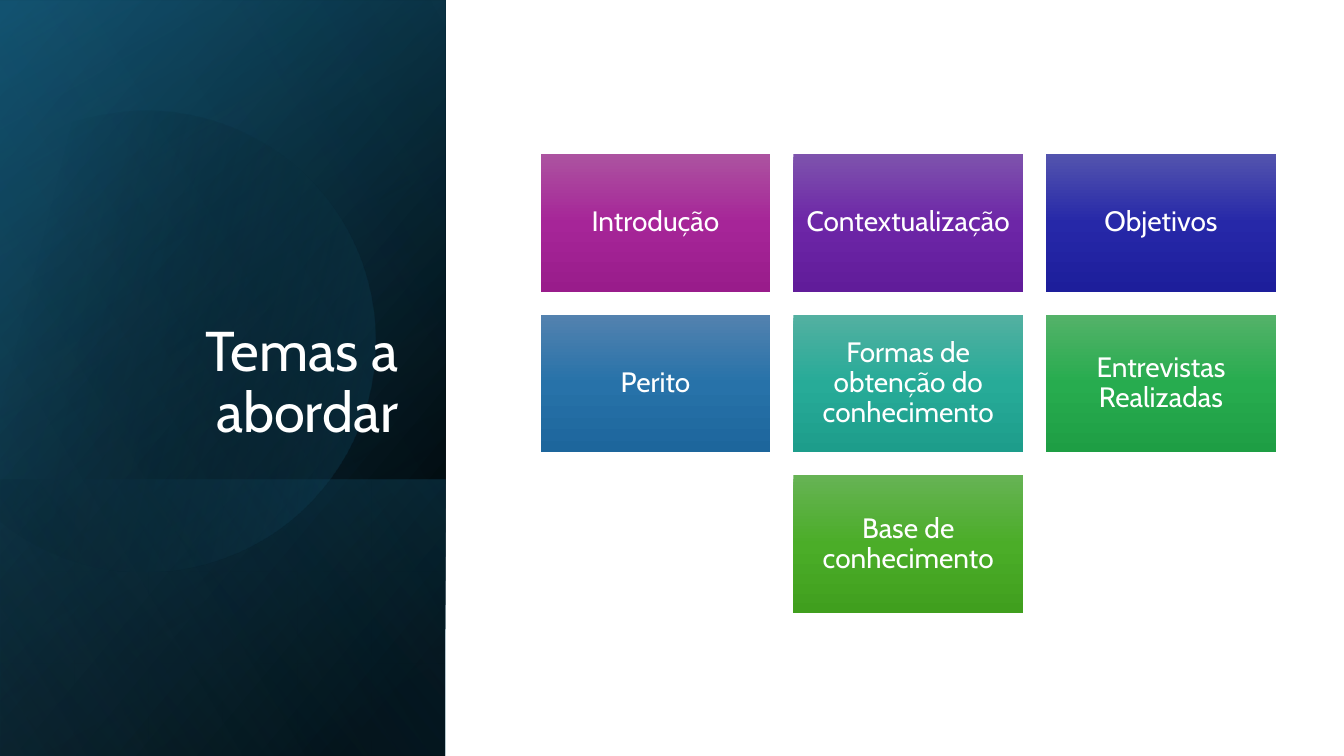
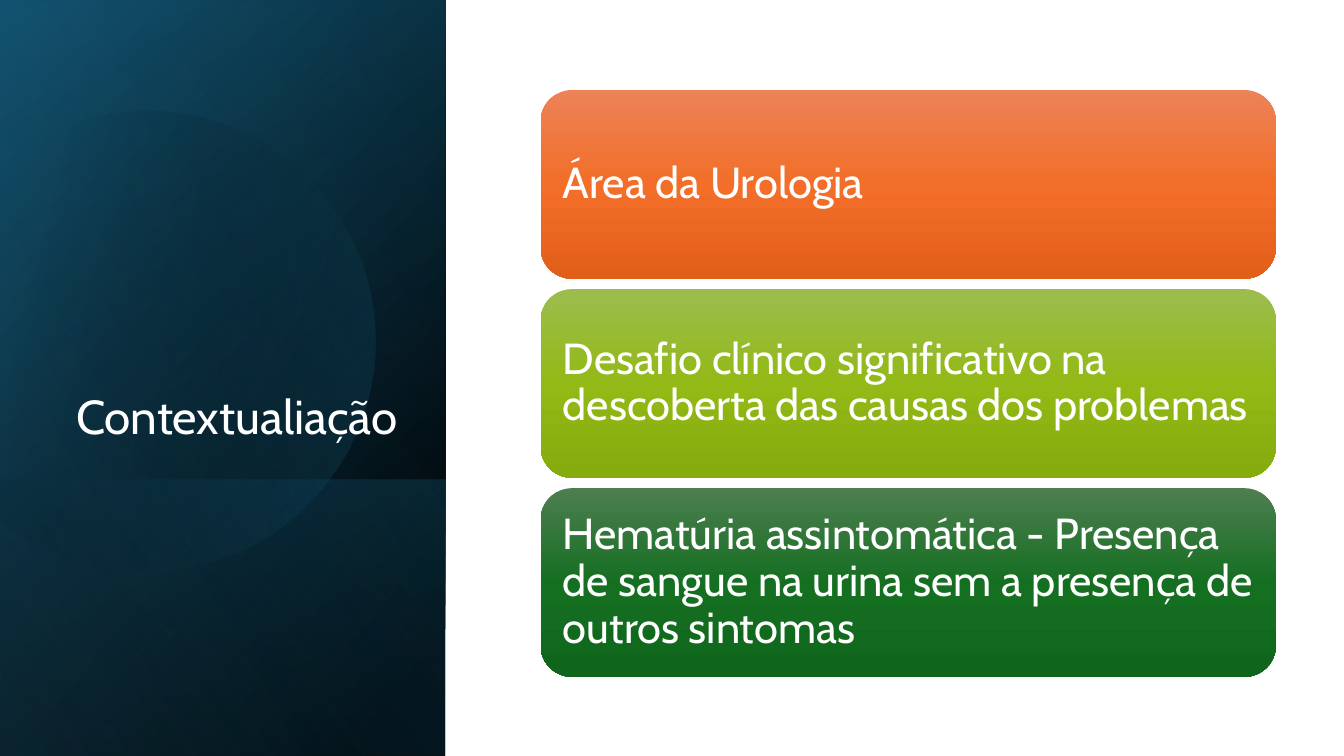
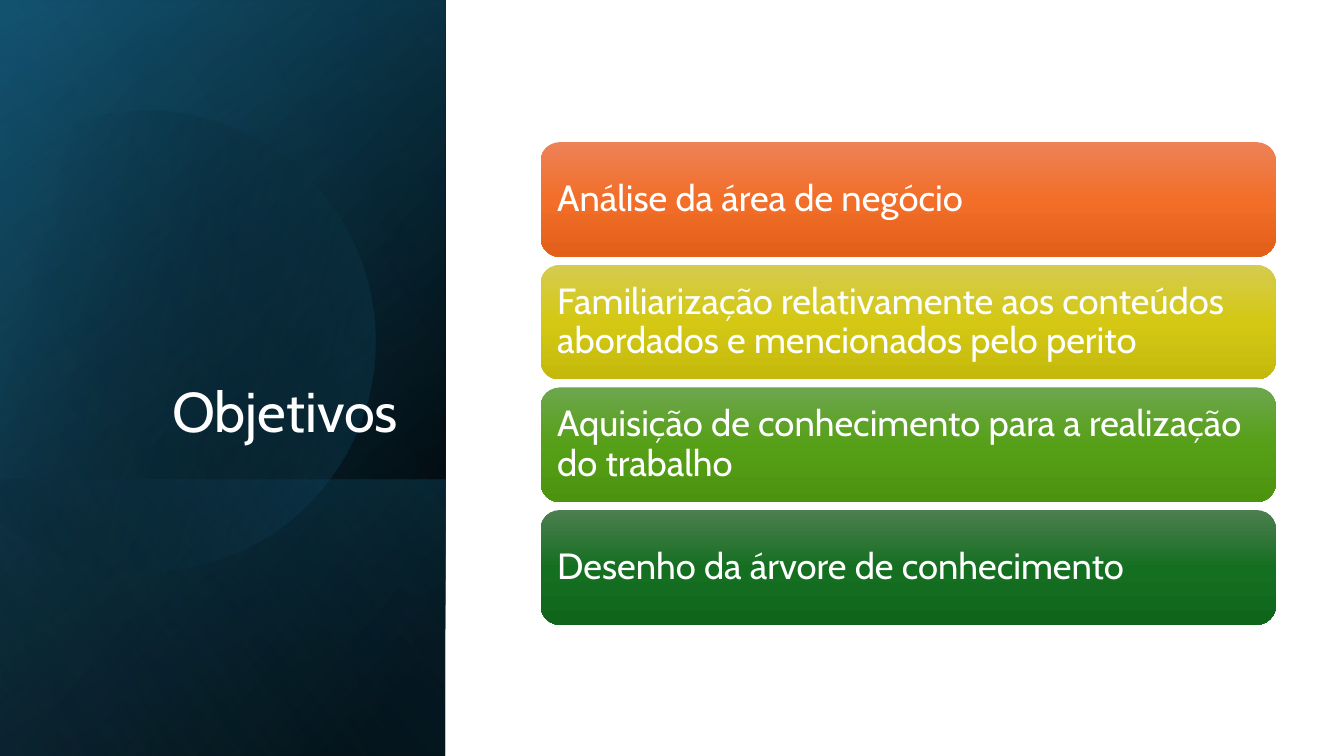
from math import cos, radians, sin

from lxml.etree import SubElement as Sub
from pptx import Presentation
from pptx.dml.color import RGBColor
from pptx.enum.shapes import MSO_SHAPE as Kind
from pptx.enum.text import MSO_ANCHOR as Anchor, MSO_AUTO_SIZE as Auto, PP_ALIGN as Align
from pptx.oxml.ns import qn
from pptx.util import Pt

# Shared style, lengths in points
FONT = "Cabin"
WHITE = "FFFFFF"
LEFT, WIDE, MID = 386.2, 525.2, 273.9   # content area: left, width, middle height
TITLE = (46, 132.5, 245.5, 188.6)

# Side band layers: frame, stops (position, colour, opacity), angle
FULL = (-111, 111, 540, 318.2)
BASE = [
    (FULL, [(8, "000000", 100), (100, "104862", 100)], 50),
    (FULL, [(0, "000000", 0), (99, "156082", 46)], 30),
    ((60.5, 282.2, 197.3, 318.2), [(2, "156082", 29), (100, "000000", 30)], 130),
]
SHEEN = (FULL, [(0, "000000", 0), (99, "46B1E1", 11)], 120)

# Disc outline: a point is a line end, three points are a curve
DISC = [
    [(107.3, 79.2)],
    [(177.1, 80.6), (241.2, 127.4), (261.4, 198)],
    [(286.6, 285.8), (236.2, 376.6), (149, 401.8)],
    [(94.3, 417.6), (38.2, 403.9), (-2.2, 370.1)],
    [(-10.8, 362.2)],
    [(-10.8, 126)],
    [(0, 115.9)],
    [(16.6, 102.2), (36, 91.4), (57.6, 85.7)],
    [(74.2, 81.4), (90.7, 79.2), (107.3, 79.2)],
]
HUB, TURN = (114.1, 240.8), 343.9

# Card gradients: top, middle, bottom
PLUM = ("AC53A0", "A62598", "991C8B")
VIOLET = ("7E53AD", "6D26A7", "611C9A")
INDIGO = ("5354AE", "2628A8", "1D1E9B")
BLUE = ("5382AF", "2772A9", "1D669C")
TEAL = ("53B0A1", "27AB98", "1D9D8B")
GREEN = ("54B269", "27AC4F", "1E9E44")
GRASS = ("66B354", "4BAD28", "409F1E")
ORANGE = ("ED8257", "F26E29", "E25F1A")
LIME = ("9CBD4E", "92B916", "85AB0D")
YELLOW = ("D5CB4E", "D4C815", "C4B90B")
LEAF = ("6DA64E", "56A017", "4C930F")
FOREST = ("4D7E50", "156F21", "0F661B")


def color(code):
    return RGBColor.from_string(code)


def grad(shape, stops, angle):
    """Fill with a linear gradient, without line or shadow."""
    shape.shadow.inherit = False
    shape.line.fill.background()
    shape.fill.gradient()
    shape.fill.gradient_angle = 360 - angle
    bag = shape.element.spPr.find(qn("a:gradFill")).find(qn("a:gsLst"))
    for old in list(bag):
        bag.remove(old)
    for spot, code, alpha in stops:
        stop = Sub(bag, qn("a:gs"), pos=str(spot * 1000))
        tint = Sub(stop, qn("a:srgbClr"), val=code)
        if alpha < 100:
            Sub(tint, qn("a:alpha"), val=str(alpha * 1000))


def write(shape, text, size, align=Align.LEFT, anchor=Anchor.MIDDLE, pad=None):
    frame = shape.text_frame
    frame.word_wrap = True
    frame.auto_size = Auto.NONE
    frame.vertical_anchor = anchor
    if pad is not None:
        frame.margin_left = frame.margin_right = Pt(pad)
        frame.margin_top = frame.margin_bottom = Pt(pad)
    para = frame.paragraphs[0]
    para.alignment = align
    para.line_spacing = 0.9
    run = para.add_run()
    run.text = text
    run.font.name = FONT
    run.font.size = Pt(size)
    run.font.color.rgb = color(WHITE)


def layer(slide, frame, stops, angle):
    """Add one upright layer of the side band."""
    shape = slide.shapes.add_shape(Kind.RECTANGLE, *map(Pt, frame))
    shape.rotation = 90
    shape.element.spPr.find(qn("a:xfrm")).set("flipH", "1")
    grad(shape, stops, angle)


def trace(parts, steps=24):
    """Turn lines and curves into a list of points."""
    points = list(parts[0])
    for part in parts[1:]:
        if len(part) == 1:
            points += part
            continue
        curve = [points[-1], *part]
        for step in range(1, steps + 1):
            t = step / steps
            u = 1 - t
            rates = (u ** 3, 3 * u * u * t, 3 * u * t * t, t ** 3)
            points.append(tuple(sum(r * p[axis] for r, p in zip(rates, curve))
                                for axis in (0, 1)))
    return points


def spin(point, angle):
    """Turn a point about the hub of the disc."""
    x, y = point[0] - HUB[0], point[1] - HUB[1]
    c, s = cos(radians(angle)), sin(radians(angle))
    return Pt(HUB[0] + x * c - y * s), Pt(HUB[1] + x * s + y * c)


def disc(slide):
    first, *rest = [spin(point, -TURN) for point in trace(DISC)]
    pen = slide.shapes.build_freeform(*first)
    pen.add_line_segments(rest, close=True)
    shape = pen.convert_to_shape()
    shape.rotation = TURN
    grad(shape, [(29, "000000", 0), (100, "156082", 43)], 30)


def page(deck, text, size=40):
    """Add a slide with the side band and its title."""
    slide = deck.slides.add_slide(deck.slide_layouts[5])
    for item in BASE:
        layer(slide, *item)
    disc(slide)
    layer(slide, *SHEEN)
    title = slide.shapes.title
    title.left, title.top, title.width, title.height = map(Pt, TITLE)
    write(title, text, size, align=Align.RIGHT, anchor=Anchor.BOTTOM)
    slide.shapes.element.append(title.element)   # title in front of the band
    return slide


def cards(slide, items, high, gap, cols=1, kind=Kind.ROUNDED_RECTANGLE, **style):
    """Lay cards out in rows, each row centred in the content area."""
    wide = (WIDE - (cols - 1) * gap) / cols
    rows = [items[i:i + cols] for i in range(0, len(items), cols)]
    top = MID - (len(rows) * (high + gap) - gap) / 2
    for r, row in enumerate(rows):
        left = LEFT + (cols - len(row)) * (wide + gap) / 2
        for c, (text, tones) in enumerate(row):
            card = slide.shapes.add_shape(
                kind, Pt(left + c * (wide + gap)), Pt(top + r * (high + gap)),
                Pt(wide), Pt(high))
            grad(card, [(50 * i, tone, 100) for i, tone in enumerate(tones)], 90)
            write(card, text, **style)


def main():
    deck = Presentation()
    deck.slide_width, deck.slide_height = Pt(960), Pt(540)

    # Topics
    cards(page(deck, "Temas a abordar"), [
        ("Introdução", PLUM),
        ("Contextualização", VIOLET),
        ("Objetivos", INDIGO),
        ("Perito", BLUE),
        ("Formas de obtenção do conhecimento", TEAL),
        ("Entrevistas Realizadas", GREEN),
        ("Base de conhecimento", GRASS),
    ], 98.5, 16.4, cols=3, kind=Kind.RECTANGLE, size=20, align=Align.CENTER, pad=6)

    # Context
    cards(page(deck, "Contextualiação", 34), [
        ("Área da Urologia", ORANGE),
        ("Desafio clínico significativo na descoberta das causas dos problemas", LIME),
        ("Hematúria assintomática - Presença de sangue na urina sem a presença "
         "de outros sintomas", FOREST),
    ], 134.8, 7.4, size=31, pad=9.3)

    # Goals
    cards(page(deck, "Objetivos"), [
        ("Análise da área de negócio", ORANGE),
        ("Familiarização relativamente aos conteúdos abordados e mencionados "
         "pelo perito", YELLOW),
        ("Aquisição de conhecimento para a realização do trabalho", LEAF),
        ("Desenho da árvore de conhecimento", FOREST),
    ], 81.9, 5.7, size=26, pad=7.8)

    deck.save("out.pptx")


if __name__ == "__main__":
    main()
